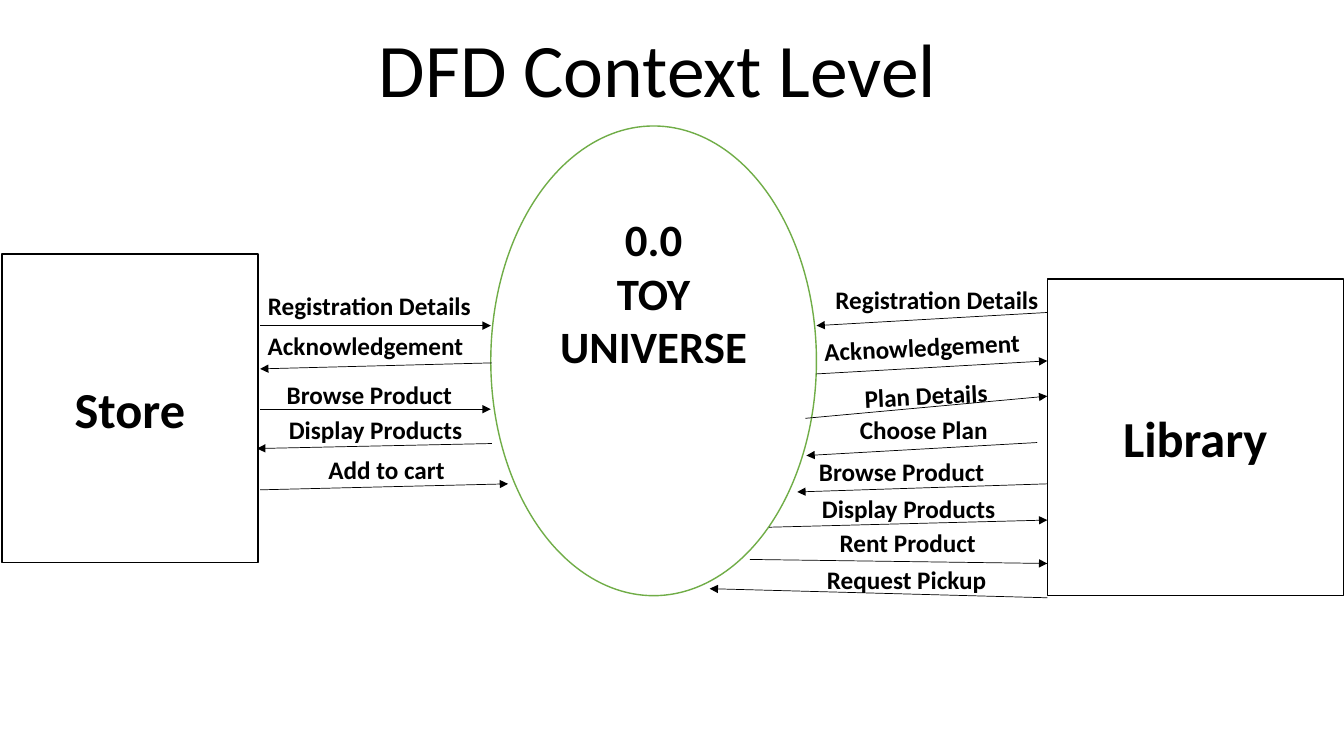
from dataclasses import dataclass

from lxml import etree
from pptx import Presentation
from pptx.dml.color import RGBColor
from pptx.enum import shapes, text
from pptx.oxml import ns
from pptx.slide import Slide
from pptx.text.text import TextFrame
from pptx.util import Pt

BLACK = RGBColor(0x00, 0x00, 0x00)
WHITE = RGBColor(0xFF, 0xFF, 0xFF)
GREEN = RGBColor(0x70, 0xAD, 0x47)
FONT = "Calibri"
LABEL_WIDTH, LABEL_HEIGHT = 195, 29
TILT = -2.8

Point = tuple[float, float]


@dataclass(frozen=True)
class Node:
    name: str
    outline: shapes.MSO_SHAPE
    left: float
    top: float
    width: float
    height: float
    line_color: RGBColor = BLACK
    font_size: float = 36
    text_top: float | None = None


@dataclass(frozen=True)
class Flow:
    """A labelled arrow; the label is placed by its centre and top."""
    label: str
    center: float
    top: float
    start: Point
    end: Point
    tilt: float = 0


NODES = [
    Node("Store", shapes.MSO_SHAPE.RECTANGLE, 1.4, 181.4, 182.9, 220.3),
    Node("Library", shapes.MSO_SHAPE.RECTANGLE, 748.1, 199.4, 211.4, 226.1),
    Node("0.0\nTOY UNIVERSE", shapes.MSO_SHAPE.OVAL, 350.6, 90, 232.6, 335.5,
         GREEN, 32, text_top=12),
]

STORE_FLOWS = [
    Flow("Registration Details", 263.8, 203.8, (185.8, 232.6), (350.6, 232.6)),
    Flow("Acknowledgement", 261.1, 232.6, (351.4, 259.2), (185.8, 263.5)),
    Flow("Browse Product", 263.8, 267.1, (185.8, 292.3), (350.6, 292.3)),
    Flow("Display Products", 268.3, 292.3, (351.4, 316.8), (183.6, 320.4)),
    Flow("Add to cart", 276.1, 321.1, (185.8, 349.9), (362.9, 345.6)),
]

LIBRARY_FLOWS = [
    Flow("Registration Details", 669.2, 199.4, (748.1, 223.2), (583.2, 232.6)),
    Flow("Acknowledgement", 658.5, 233.3, (583.2, 267.1), (748.1, 257.8), TILT),
    Flow("Plan Details", 661.4, 267.8, (575.3, 298.8), (748.1, 283), TILT),
    Flow("Choose Plan", 659.8, 292.3, (740.9, 316.1), (576, 325.4)),
    Flow("Browse Product", 644, 322.6, (748.1, 345.6), (569.5, 351.4)),
    Flow("Display Products", 649.1, 348.5, (549.4, 376.6), (748.1, 371.5)),
    Flow("Rent Product", 648.4, 373, (535.7, 399.6), (748.1, 402.5)),
    Flow("Request Pickup", 647.6, 399.6, (748.1, 427), (506.9, 420.5)),
]


def write(frame: TextFrame, content: str, size: float, bold: bool = True) -> None:
    frame.text = content
    for paragraph in frame.paragraphs:
        paragraph.alignment = text.PP_ALIGN.CENTER
        for run in paragraph.runs:
            run.font.name = FONT
            run.font.size = Pt(size)
            run.font.bold = bold
            run.font.color.rgb = BLACK


def add_title(slide: Slide, content: str) -> None:
    title = slide.shapes.title
    title.left, title.top = Pt(261.4), Pt(12.2)
    title.width, title.height = Pt(416.9), Pt(72.7)
    frame = title.text_frame
    write(frame, content, 54, bold=False)
    frame.word_wrap = False
    frame.auto_size = text.MSO_AUTO_SIZE.NONE
    frame.vertical_anchor = text.MSO_ANCHOR.TOP


def add_node(slide: Slide, node: Node) -> None:
    shape = slide.shapes.add_shape(
        node.outline, Pt(node.left), Pt(node.top), Pt(node.width), Pt(node.height))
    shape.shadow.inherit = False
    shape.fill.solid()
    shape.fill.fore_color.rgb = WHITE
    shape.line.color.rgb = node.line_color
    shape.line.width = Pt(1)
    frame = shape.text_frame
    write(frame, node.name, node.font_size)
    frame.word_wrap = True
    frame.vertical_anchor = text.MSO_ANCHOR.MIDDLE
    if node.text_top is not None:
        frame.vertical_anchor = text.MSO_ANCHOR.TOP
        frame.margin_top = Pt(node.text_top)


def add_flow(slide: Slide, flow: Flow) -> None:
    arrow = slide.shapes.add_connector(
        shapes.MSO_CONNECTOR.STRAIGHT,
        *(Pt(value) for value in flow.start + flow.end))
    arrow.line.color.rgb = BLACK
    arrow.line.width = Pt(0.5)
    etree.SubElement(arrow.line._get_or_add_ln(), ns.qn("a:tailEnd"), type="triangle")
    etree.SubElement(arrow._element.spPr, ns.qn("a:effectLst"))

    label = slide.shapes.add_textbox(
        Pt(flow.center - LABEL_WIDTH / 2), Pt(flow.top),
        Pt(LABEL_WIDTH), Pt(LABEL_HEIGHT))
    label.rotation = flow.tilt
    label.text_frame.word_wrap = True
    write(label.text_frame, flow.label, 18)


def main() -> None:
    deck = Presentation()
    deck.slide_width, deck.slide_height = Pt(960), Pt(540)
    slide = deck.slides.add_slide(deck.slide_layouts.get_by_name("Title Only"))
    add_title(slide, "DFD Context Level")
    for node in NODES:
        add_node(slide, node)
    for flow in STORE_FLOWS + LIBRARY_FLOWS:
        add_flow(slide, flow)
    deck.save("out.pptx")


if __name__ == "__main__":
    main()
